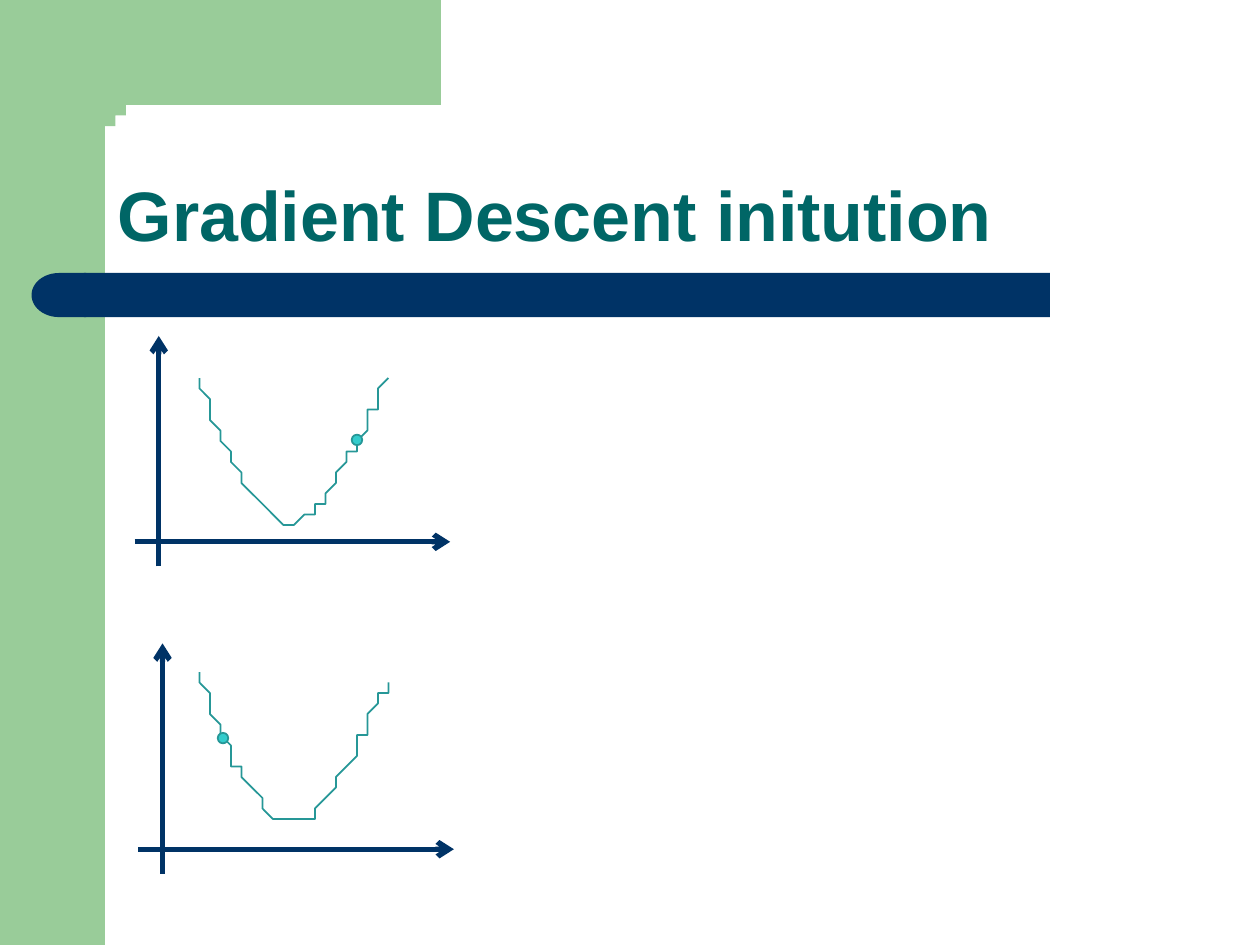
from dataclasses import dataclass

import lxml.etree
import pptx
import pptx.dml.color
import pptx.enum.shapes
import pptx.enum.text
import pptx.oxml.ns
import pptx.util

RGBColor = pptx.dml.color.RGBColor
Shape = pptx.enum.shapes.MSO_SHAPE
Point = tuple[float, float]

GREEN = RGBColor(0x99, 0xCC, 0x99)
NAVY = RGBColor(0x00, 0x33, 0x66)
TEAL = RGBColor(0x00, 0x66, 0x66)
CURVE_TEAL = RGBColor(0x26, 0x97, 0x97)
DOT_CYAN = RGBColor(0x33, 0xCC, 0xCC)

# The slide is a grid of square cells, twelve to the inch
COLUMNS, ROWS = 120, 90
CELL = pptx.util.Inches(1) // 12
CURVE_STEPS = 24

# Axis reach from the origin, and the bowl curve from its left end
AXIS_LEFT, AXIS_RIGHT, AXIS_UP, AXIS_DOWN = 2.3, 27.75, 19.6, 2.35
BOWL = [
    [(0, 0), (1.56, 3), (5.16, 13.92), (8.88, 13.95)],
    [(8.88, 13.95), (12.5, 14.04), (16.56, 3.24), (18.36, 0.24)],
]
DOT_SIZE = 1


@dataclass
class Plot:
    origin: Point
    curve_start: Point
    dot: Point


PLOTS = [
    Plot(origin=(15.48, 80.88), curve_start=(18.84, 64.44), dot=(21.24, 70.3)),
    Plot(origin=(15.12, 51.6), curve_start=(18.6, 35.8), dot=(34, 41.9)),
]


def cells(*counts: float) -> list[int]:
    return [round(count * CELL) for count in counts]


def bezier(start: Point, pull: Point, push: Point, end: Point) -> list[Point]:
    """Points along a cubic curve."""
    points = []
    for step in range(CURVE_STEPS + 1):
        t = step / CURVE_STEPS
        weights = ((1 - t) ** 3, 3 * t * (1 - t) ** 2, 3 * t * t * (1 - t), t ** 3)
        knots = list(zip(weights, (start, pull, push, end)))
        points.append((sum(w * p[0] for w, p in knots),
                       sum(w * p[1] for w, p in knots)))
    return points


def paint(shape, fill: RGBColor | None = None, line: RGBColor | None = None) -> None:
    shape.shadow.inherit = False
    if fill is None:
        shape.fill.background()
    else:
        shape.fill.solid()
        shape.fill.fore_color.rgb = fill
    if line is None:
        shape.line.fill.background()
    else:
        shape.line.color.rgb = line
        shape.line.width = pptx.util.Pt(1)


def add_block(shapes, kind, left: float, top: float, width: float, height: float,
              fill: RGBColor, line: RGBColor | None = None):
    shape = shapes.add_shape(kind, *cells(left, top, width, height))
    paint(shape, fill, line)
    return shape


def add_outline(shapes, points: list[Point], close: bool,
                fill: RGBColor | None = None, line: RGBColor | None = None) -> None:
    builder = shapes.build_freeform(*points[0], scale=CELL)
    builder.add_line_segments(points[1:], close=close)
    paint(builder.convert_to_shape(), fill, line)


def add_axis(shapes, start: Point, end: Point) -> None:
    axis = shapes.add_connector(pptx.enum.shapes.MSO_CONNECTOR.STRAIGHT,
                                *cells(*start, *end))
    axis.line.color.rgb = NAVY
    axis.line.width = pptx.util.Pt(3)
    qn = pptx.oxml.ns.qn
    lxml.etree.SubElement(axis.line._get_or_add_ln(), qn("a:tailEnd"), type="arrow")
    lxml.etree.SubElement(axis._element.spPr, qn("a:effectLst"))


def add_plot(page, plot: Plot) -> None:
    shapes = page.shapes.add_group_shape().shapes
    x, y = plot.origin
    add_axis(shapes, (x, y + AXIS_DOWN), (x, y - AXIS_UP))
    add_axis(shapes, (x - AXIS_LEFT, y), (x + AXIS_RIGHT, y))
    left, top = plot.curve_start
    bowl = bezier(*BOWL[0]) + bezier(*BOWL[1])[1:]
    add_outline(shapes, [(left + dx, top + dy) for dx, dy in bowl],
                close=False, line=CURVE_TEAL)
    add_block(shapes, Shape.OVAL, plot.dot[0] - DOT_SIZE / 2,
              plot.dot[1] - DOT_SIZE / 2, DOT_SIZE, DOT_SIZE, DOT_CYAN, CURVE_TEAL)


def write_text(box, text: str, *, size: float, color: RGBColor, font: str = "Arial",
               bold: bool = False, spacing: float = 1.0) -> None:
    frame = box.text_frame
    frame.word_wrap = True
    frame.auto_size = pptx.enum.text.MSO_AUTO_SIZE.NONE
    frame.vertical_anchor = pptx.enum.text.MSO_ANCHOR.BOTTOM
    para = frame.paragraphs[0]
    para.alignment = pptx.enum.text.PP_ALIGN.LEFT
    para.line_spacing = spacing
    span = para.add_run()
    span.text = text
    span.font.name = font
    span.font.size = pptx.util.Pt(size)
    span.font.bold = bold
    span.font.color.rgb = color


def main() -> None:
    deck = pptx.Presentation()
    deck.slide_width, deck.slide_height = cells(COLUMNS, ROWS)
    page = deck.slides.add_slide(deck.slide_layouts[5])

    # Green side band and top band with a rounded inner corner
    add_block(page.shapes, Shape.RECTANGLE, 0, 0, 10, ROWS, GREEN)
    corner = bezier((14, 10), (11.8, 10), (10, 11.8), (10, 14))
    add_outline(page.shapes,
                [(42, 0), (42, 10), *corner, (10, 15.4), (6, 15.4), (6, 0)],
                close=True, fill=GREEN)

    # Navy rule with a round left end
    add_block(page.shapes, Shape.RECTANGLE, 8, 26, 92, 4.2, NAVY)
    cap = add_block(page.shapes, Shape.FLOWCHART_DELAY, 3, 26, 5.2, 4.2, NAVY)
    cap.rotation = 180

    # Title
    title = page.shapes.title
    title.left, title.top, title.width, title.height = cells(10, 10, 104, 15)
    write_text(title, "Gradient Descent initution", size=40, color=TEAL,
               bold=True, spacing=0.9)

    # Plots
    for plot in PLOTS:
        add_plot(page, plot)

    deck.save("out.pptx")


if __name__ == "__main__":
    main()
